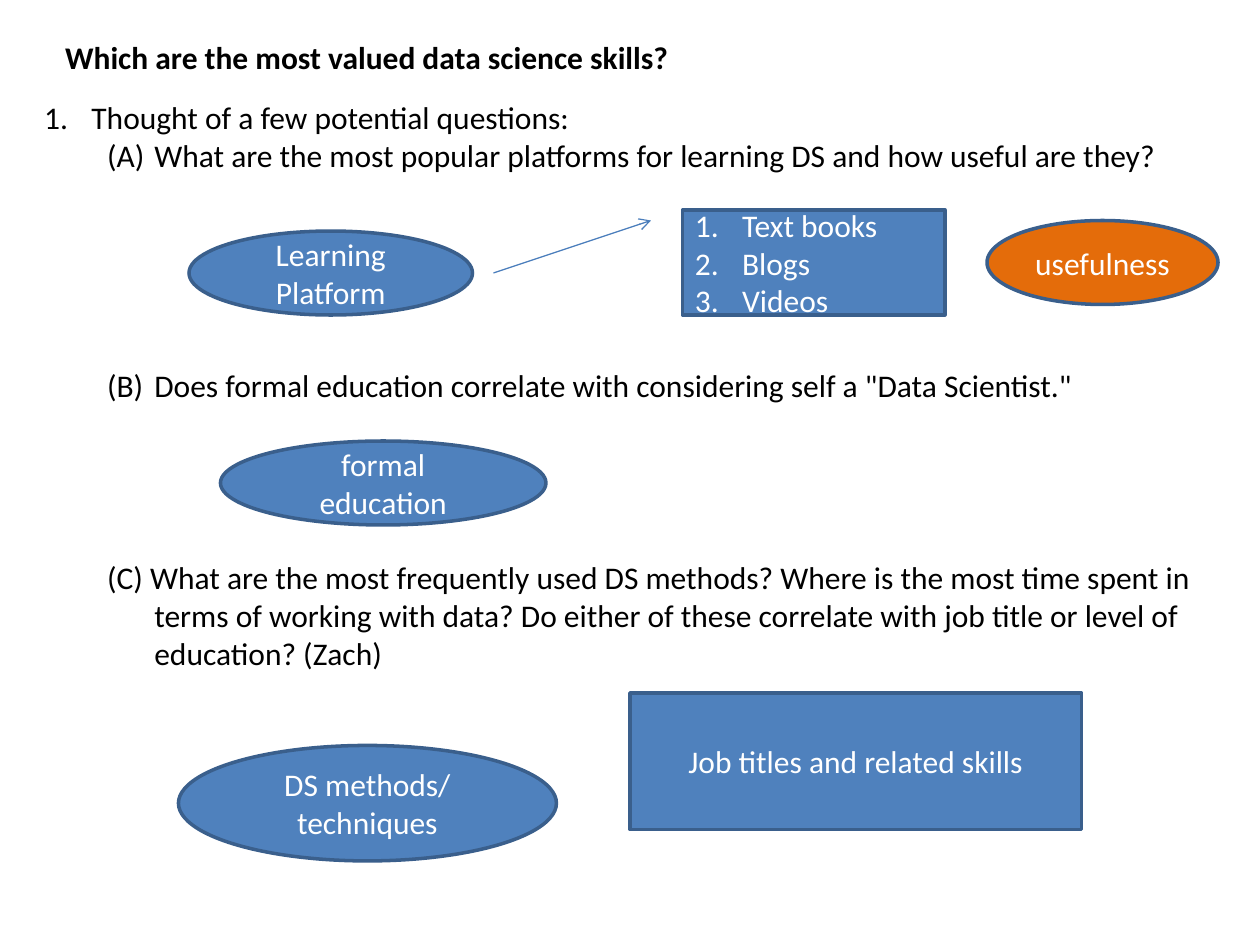
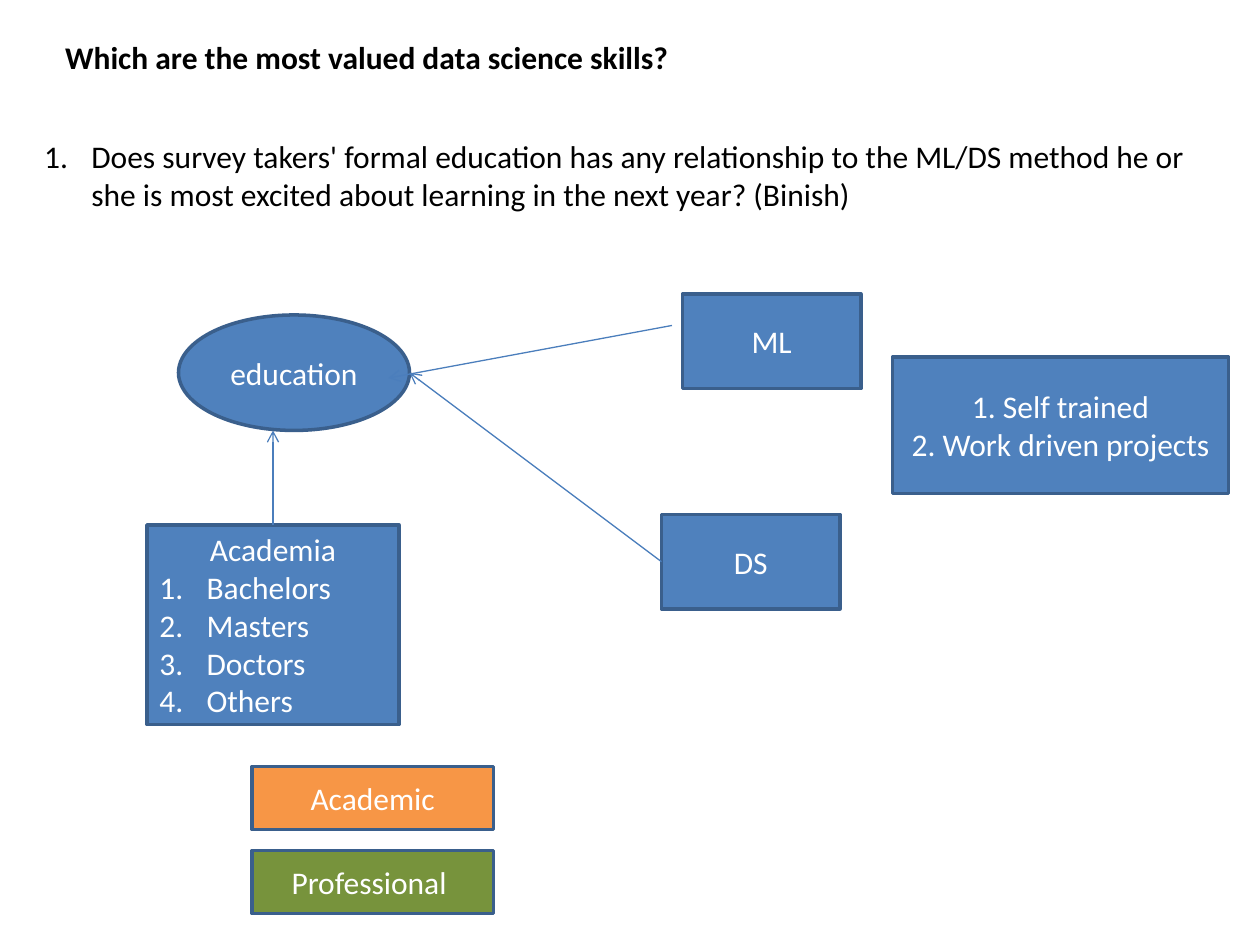
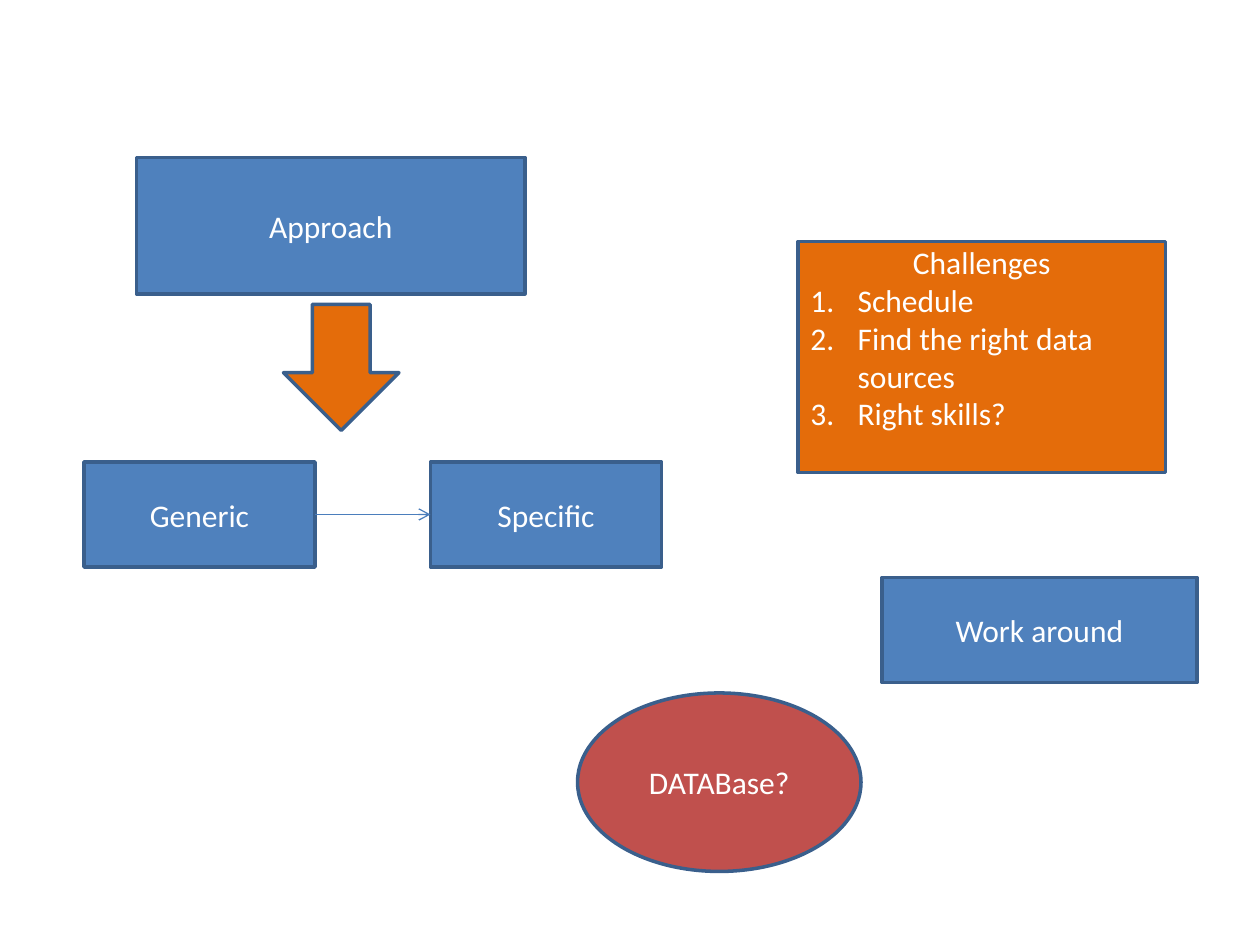
from dataclasses import dataclass

from lxml import etree
from pptx import Presentation
from pptx.dml.color import RGBColor
from pptx.enum.shapes import MSO_CONNECTOR, MSO_SHAPE
from pptx.enum.text import MSO_ANCHOR, MSO_AUTO_SIZE, PP_ALIGN
from pptx.oxml.ns import qn
from pptx.util import Inches, Pt

ELLIPSE, RECTANGLE, DOWN_ARROW = MSO_SHAPE.OVAL, MSO_SHAPE.RECTANGLE, MSO_SHAPE.DOWN_ARROW
STRAIGHT = MSO_CONNECTOR.STRAIGHT
LEFT, CENTER = PP_ALIGN.LEFT, PP_ALIGN.CENTER
TOP, MIDDLE, BOTTOM = MSO_ANCHOR.TOP, MSO_ANCHOR.MIDDLE, MSO_ANCHOR.BOTTOM
NO_AUTOFIT = MSO_AUTO_SIZE.NONE

NUMBERS, LETTERS = "arabicPeriod", "alphaUcParenBoth"
TITLE_AND_CONTENT, BLANK = 1, 6
CELLS_PER_INCH = 12
HANGING = 4.5
LINE_ROWS = 3.65
QUESTION = "Which are the most valued data science skills?"


@dataclass(frozen=True)
class Theme:
    font: str = "Calibri"
    size: int = 18
    line_height: int = 22
    outline_width: float = 2
    arrow_width: float = 0.75
    ink: str = "000000"
    light: str = "FFFFFF"
    blue: str = "4F81BD"
    outline: str = "3A5F8C"
    arrow: str = "4B7EBC"
    dark_orange: str = "E46C0A"
    orange: str = "F79646"
    green: str = "77933C"
    red: str = "C0504D"


def cells(count):
    return Inches(count / CELLS_PER_INCH)


def color(value):
    return RGBColor.from_string(value)


class Board:
    """Draws on the current slide; lengths are cells of a 120 by 90 grid."""

    def __init__(self, theme):
        self.theme = theme
        self.deck = Presentation()
        self.deck.slide_width, self.deck.slide_height = cells(120), cells(90)
        self.slide = None

    def new_slide(self, layout):
        self.slide = self.deck.slides.add_slide(self.deck.slide_layouts[layout])

    def add_text(self, para, text, ink, bold=False, align=LEFT):
        para.alignment = align
        span = para.add_run()
        span.text = text
        span.font.name = self.theme.font
        span.font.size = Pt(self.theme.size)
        span.font.bold = bold
        span.font.color.rgb = color(ink)

    def hang(self, para, left, numbering=None):
        """Give a paragraph a hanging indent, with automatic numbers if named."""
        properties = para._p.get_or_add_pPr()
        properties.set("marL", str(cells(left)))
        properties.set("indent", str(-cells(HANGING)))
        if numbering:
            etree.SubElement(properties, qn("a:buFont"), typeface="+mj-lt")
            etree.SubElement(properties, qn("a:buAutoNum"), type=numbering)
        else:
            etree.SubElement(properties, qn("a:buNone"))

    def place(self, holder, area, anchor):
        holder.left, holder.top, holder.width, holder.height = map(cells, area)
        frame = holder.text_frame
        frame.word_wrap = True
        frame.auto_size = NO_AUTOFIT
        frame.vertical_anchor = anchor
        return frame

    def title(self, text):
        frame = self.place(self.slide.shapes.title, (5, 3, 111, 4.85), TOP)
        self.add_text(frame.paragraphs[0], text, self.theme.ink, bold=True)

    def questions(self, height, items, anchor=TOP):
        """Fill the body from (level, numbering, blank lines before, text) items."""
        frame = self.place(self.slide.placeholders[1], (3, 8.75, 115, height), anchor)
        for index, (level, numbering, gap, text) in enumerate(items):
            para = frame.add_paragraph() if index else frame.paragraphs[0]
            para.level = level
            para.space_before = Pt(gap * self.theme.line_height)
            self.add_text(para, text, self.theme.ink)
            self.hang(para, HANGING + 6 * level, numbering)

    def box(self, preset, area, lines=(), steps=(), fill=None, lift=0):
        """Draw a shape with centred lines, then numbered steps, raised by lift rows."""
        box = self.slide.shapes.add_shape(preset, *map(cells, area))
        box.shadow.inherit = False
        box.fill.solid()
        box.fill.fore_color.rgb = color(fill or self.theme.blue)
        box.line.color.rgb = color(self.theme.outline)
        box.line.width = Pt(self.theme.outline_width)
        frame = box.text_frame
        frame.word_wrap = True
        frame.vertical_anchor = MIDDLE
        frame.margin_bottom += cells(lift)
        for index, text in enumerate((*lines, *steps)):
            para = frame.add_paragraph() if index else frame.paragraphs[0]
            numbered = index >= len(lines)
            self.add_text(para, text, self.theme.light, align=LEFT if numbered else CENTER)
            if numbered:
                self.hang(para, HANGING, NUMBERS)

    def arrow(self, start, end):
        link = self.slide.shapes.add_connector(STRAIGHT, *map(cells, (*start, *end)))
        link.line.color.rgb = color(self.theme.arrow)
        link.line.width = Pt(self.theme.arrow_width)
        properties = link._element.spPr
        etree.SubElement(properties.find(qn("a:ln")), qn("a:tailEnd"), type="arrow")
        etree.SubElement(properties, qn("a:effectLst"))


def add_potential_questions(board):
    board.new_slide(TITLE_AND_CONTENT)
    board.title(QUESTION)
    board.questions(55.7, [
        (0, NUMBERS, 0, "Thought of a few potential questions:"),
        (1, LETTERS, 0, "What are the most popular platforms for learning DS "
                        "and how useful are they?"),
        (1, LETTERS, 5, "Does formal education correlate with considering self "
                        "a \"Data Scientist.\""),
        (1, None, 4, "(C) What are the most frequently used DS methods? Where is the most "
                     "time spent in terms of working with data? Do either of these "
                     "correlate with job title or level of education? (Zach)"),
    ])
    board.box(ELLIPSE, (18, 22, 27, 8), ["Learning Platform"])
    board.arrow((47, 26), (62, 21))
    board.box(RECTANGLE, (65, 20, 25, 10), steps=["Text books", "Blogs", "Videos"])
    board.box(ELLIPSE, (94, 21, 22, 8), ["usefulness"], fill=board.theme.dark_orange)
    board.box(ELLIPSE, (21, 42, 31, 8), ["formal education"])
    board.box(ELLIPSE, (17, 71, 36, 11), ["DS methods/ techniques"])
    board.box(RECTANGLE, (60, 66, 43, 13), ["Job titles and related skills"])


def add_education_question(board):
    board.new_slide(TITLE_AND_CONTENT)
    board.title(QUESTION)
    board.questions(12.1, [
        (0, NUMBERS, 0, "Does survey takers' formal education has any relationship to the "
                        "ML/DS method he or she is most excited about learning in the "
                        "next year? (Binish)"),
    ], anchor=BOTTOM)
    board.box(ELLIPSE, (17, 30, 22, 11), ["education"])
    board.box(RECTANGLE, (65, 28, 17, 9), ["ML"])
    board.box(RECTANGLE, (63, 49, 17, 9), ["DS"])
    board.arrow((64, 31), (37, 36))
    board.arrow((63, 53.5), (39, 35.5))
    board.box(RECTANGLE, (14, 50, 24, 19), ["Academia"],
              ["Bachelors", "Masters", "Doctors", "Others"])
    board.arrow((26, 50), (26, 41))
    board.box(RECTANGLE, (85, 34, 32, 13), ["1. Self trained", "2. Work driven projects"])
    legend = [("Academic", board.theme.orange), ("Professional ", board.theme.green)]
    for row, (label, fill) in enumerate(legend):
        board.box(RECTANGLE, (24, 73 + 8 * row, 23, 6), [label], fill=fill)


def add_approach(board):
    board.new_slide(BLANK)
    board.box(RECTANGLE, (13, 15, 37, 13), ["Approach"])
    board.box(RECTANGLE, (76, 23, 35, 22), ["Challenges"],
              ["Schedule", "Find the right data sources", "Right skills?"],
              fill=board.theme.dark_orange, lift=LINE_ROWS)
    for column, label in enumerate(["Generic", "Specific"]):
        board.box(RECTANGLE, (8 + 33 * column, 44, 22, 10), [label])
    board.arrow((30, 49), (41, 49))
    board.box(DOWN_ARROW, (27, 29, 11, 12), fill=board.theme.dark_orange)
    board.box(RECTANGLE, (84, 55, 30, 10), ["Work around"])
    board.box(ELLIPSE, (55, 66, 27, 17), ["DATABase?"], fill=board.theme.red)


def main():
    board = Board(Theme())
    add_potential_questions(board)
    add_education_question(board)
    add_approach(board)
    board.deck.save("out.pptx")


if __name__ == "__main__":
    main()
